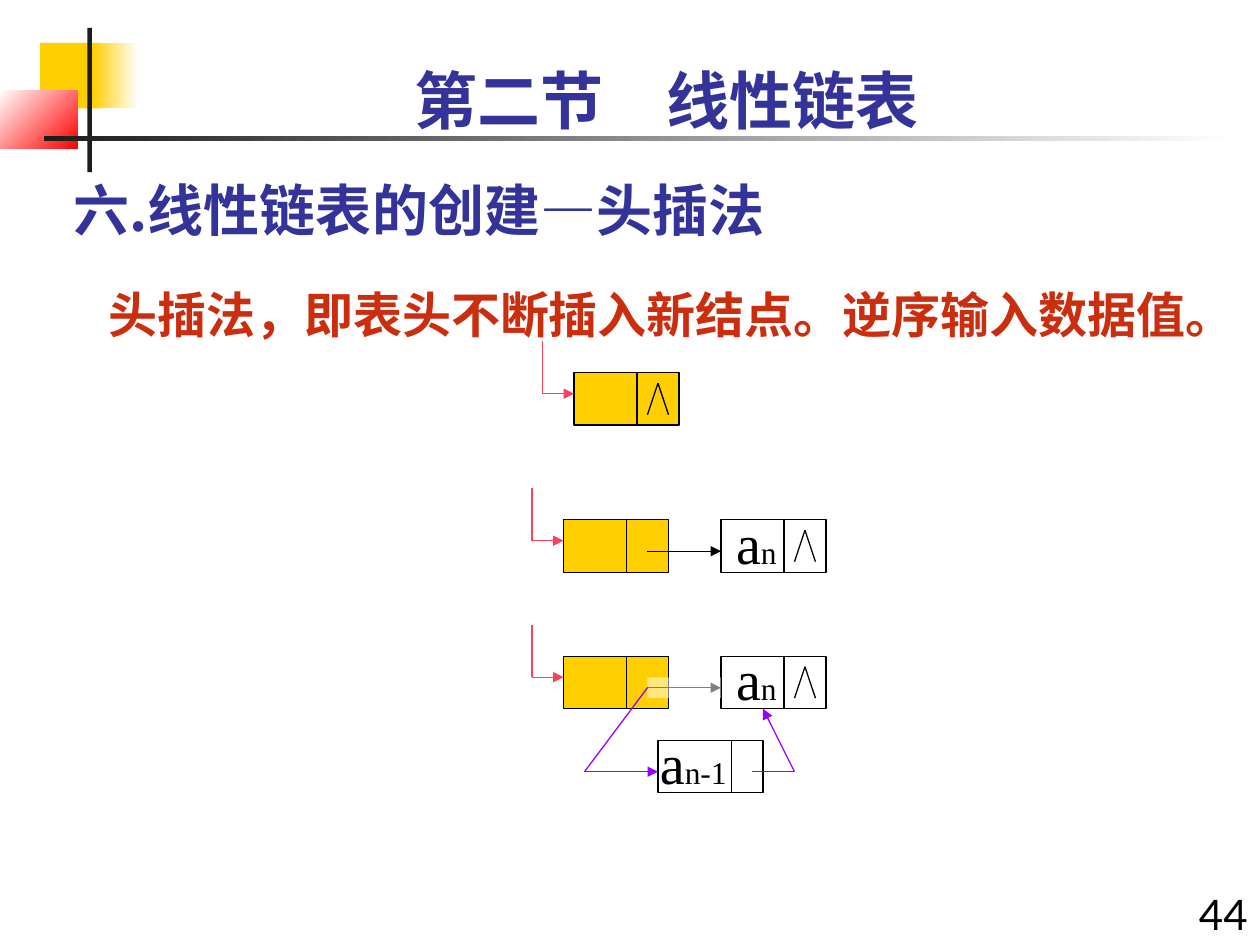
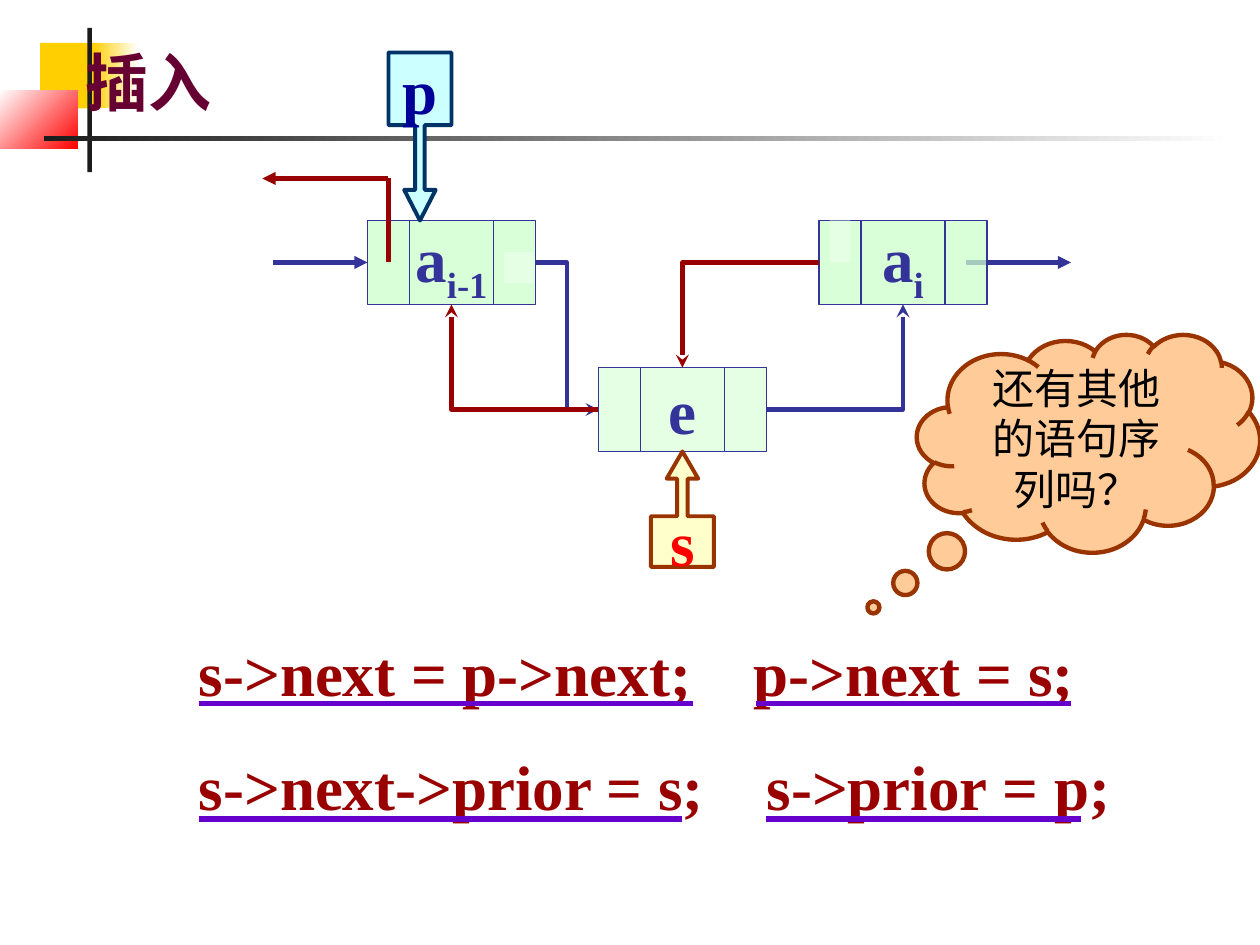
from lxml import etree
from pptx import Presentation
from pptx.dml.color import RGBColor as RGB
from pptx.enum.shapes import MSO_CONNECTOR as LINK, MSO_SHAPE as FORM
from pptx.enum.text import MSO_ANCHOR as ANCHOR, PP_ALIGN as ALIGN
from pptx.oxml import parse_xml
from pptx.oxml.ns import nsdecls, qn
from pptx.util import Pt

BLACK = RGB(0, 0, 0)
WHITE = RGB(255, 255, 255)
INK = RGB(0x1C, 0x1C, 0x1C)
GOLD = RGB(0xFF, 0xCF, 0x01)
RED = RGB(255, 0, 0)
BLUE = RGB(0x33, 0x33, 0x99)
RUST = RGB(0xCB, 0x2E, 0x0F)
PINK = RGB(0xFB, 0x41, 0x5C)
VIOLET = RGB(0x99, 0, 0xFF)
GREEN = RGB(0xCC, 0xFF, 0xCC)
PALE = RGB(0xE5, 0xFF, 0xE5)
MAROON = RGB(0x99, 0, 0)
PLUM = RGB(0x66, 0, 0x33)
PURPLE = RGB(0x66, 0, 0xCC)
AQUA = RGB(0xCC, 0xFF, 0xFF)
TEAL = RGB(0, 0x33, 0x66)
NAVY = RGB(0, 0, 0x99)
CREAM = RGB(0xFF, 0xFF, 0x99)
BROWN = RGB(0x99, 0x33, 0)
PEACH = RGB(0xFF, 0xCC, 0x99)

SANS, LATO, SERIF = "Noto Sans CJK SC", "Lato", "Times New Roman"

BANDS = [
    ((23, 24.5, 34.5, 37.5), (GOLD,), 0),
    ((53, 24.5, 26, 37.5), (GOLD, WHITE), 0),
    ((0, 51.5, 44.5, 33.5), (WHITE, RED), 315),
    ((50, 16, 2.5, 82.5), (INK,), 0),
    ((25, 78, 680, 2.5), (INK, WHITE), 0),
]

HEADS = [(328, 213), (322, 297), (322, 375)]
TAIL_X = 412
DETOUR = [
    ((430, 441), (454, 441), None),
    ((454, 441), (436, 405), "triangle"),
    ((370, 393), (334, 441), None),
    ((334, 441), (376, 441), "triangle"),
]

NODES = [
    (210, 126, "a", "i-1", 75),
    (468, 126, "a", "i", 75),
    (342, 210, "e", "", 50),
]
FADED = [(288, 144, 17, 18), (474, 126, 12, 24)]
ELBOWS = [
    ((438, 234), (516, 174), BLUE, "bentConnector2"),
    ((306, 150), (342, 234), BLUE, "bentConnector3"),
    ((468, 150), (390, 210), MAROON, "bentConnector2"),
    ((342, 234), (258, 174), MAROON, "bentConnector2"),
]
CODE = [
    ("s->next = p->next;", "p->next = s;", 317),
    ("s->next->prior = s;", "s->prior = p;", 324.5),
]
RULES = [(114, 396, 402), (432, 612, 402), (114, 390, 468), (438, 618, 468)]
CALLS = [
    (FORM.DOWN_ARROW_CALLOUT, (222, 30, 36, 96), (0.15, 0.25, 0.486, 0.433),
     AQUA, 100, TEAL, "p", NAVY),
    (FORM.UP_ARROW_CALLOUT, (372, 258, 36, 66), (0.167, 0.25, 0.431, 0.439),
     CREAM, 50, BROWN, "s", RED),
]


def write(par, text, size, face, tint, bold=False, drop=0):
    run = par.add_run()
    run.text = text
    font = run.font
    font.size, font.name, font.bold = Pt(size), face, bold
    font.color.rgb = tint
    props = run._r.get_or_add_rPr()
    east = etree.SubElement(props, qn("a:ea"))
    east.set("typeface", SANS)
    if drop:
        props.set("baseline", str(drop * 1000))


def label(slide, area, runs, align=ALIGN.LEFT, anchor=ANCHOR.TOP, wrap=True):
    frame = slide.shapes.add_textbox(*map(Pt, area)).text_frame
    frame.word_wrap, frame.vertical_anchor = wrap, anchor
    par = frame.paragraphs[0]
    par.alignment = align
    for run in runs:
        write(par, *run)
    return par


def shape(slide, area, fill=None, edge=None, width=0.75, form=FORM.RECTANGLE,
          alpha=100, turn=0):
    item = slide.shapes.add_shape(form, *map(Pt, area))
    item.shadow.inherit = False
    if not fill:
        item.fill.background()
    elif isinstance(fill, tuple) and len(fill) == 2:
        item.fill.gradient()
        item.fill.gradient_angle = turn
        for stop, tint in zip(item.fill.gradient_stops, fill):
            stop.color.rgb = tint
    else:
        item.fill.solid()
        item.fill.fore_color.rgb = fill
        if alpha < 100:
            tint = item._element.spPr.find(qn("a:solidFill"))[0]
            etree.SubElement(tint, qn("a:alpha")).set("val", str(alpha * 1000))
    if edge:
        item.line.color.rgb, item.line.width = edge, Pt(width)
    else:
        item.line.fill.background()
    return item


def center(item, runs, wrap=False):
    frame = item.text_frame
    frame.word_wrap, frame.vertical_anchor = wrap, ANCHOR.MIDDLE
    par = frame.paragraphs[0]
    par.alignment = ALIGN.CENTER
    for run in runs:
        write(par, *run)


def line(slide, start, end, tint=BLACK, width=0.75, head=None, bend=None):
    kind = LINK.ELBOW if bend else LINK.STRAIGHT
    item = slide.shapes.add_connector(kind, *map(Pt, start + end))
    item.line.color.rgb, item.line.width = tint, Pt(width)
    props = item._element.spPr
    if bend:
        props.find(qn("a:prstGeom")).set("prst", bend)
    if head:
        mark = parse_xml(f'<a:tailEnd {nsdecls("a")} type="{head}"/>')
        item.line._get_or_add_ln().append(mark)
    etree.SubElement(props, qn("a:effectLst"))


def start(deck):
    slide = deck.slides.add_slide(deck.slide_layouts[6])
    for area, tints, turn in BANDS:
        shape(slide, area, tints if len(tints) > 1 else tints[0], turn=turn)
    return slide


def cell(slide, x, y, fill=None, split=36):
    shape(slide, (x, y, 60, 30), fill, BLACK)
    line(slide, (x + split, y), (x + split, y + 30))


def caret(slide, x, y):
    for side in (-6, 6):
        line(slide, (x + 48, y + 6), (x + 48 + side, y + 24))


def name(slide, x, y, width, sub):
    label(slide, (x, y - 10, width, 45),
          [("a", 32, SERIF, BLACK), (sub, 18, SERIF, BLACK)], wrap=False)


def head_slide(deck):
    slide = start(deck)
    label(slide, (35, 88, 450, 54),
          [("六.线性链表的创建—头插法", 32, SANS, BLUE, True)],
          anchor=ANCHOR.BOTTOM)
    label(slide, (672, 504, 48, 36), [("44", 24, LATO, BLACK)], ALIGN.RIGHT)
    label(slide, (48, 31.5, 666, 50.5),
          [("第二节　线性链表", 36, LATO, BLUE, True)], ALIGN.CENTER)
    par = label(slide, (55, 152.5, 677, 42.5),
                [("头插法，即表头不断插入新结点。逆序输入数据值。", 28, SANS, RUST, True)])
    par.line_spacing = 1.2

    for row, (x, y) in enumerate(HEADS):
        cell(slide, x, y, GOLD)
        line(slide, (x - 18, y + 12), (x, y + 12), PINK, head="triangle")
        line(slide, (x - 18, y - 18), (x - 18, y + 12), PINK)
        if row == 0:
            caret(slide, x, y)
            continue
        cell(slide, TAIL_X, y)
        caret(slide, TAIL_X, y)
        line(slide, (x + 48, y + 18), (TAIL_X, y + 18), head="triangle")
        name(slide, TAIL_X + 1.5, y, 37.5, "n")

    shape(slide, (370, 387, 42, 12), WHITE, alpha=50)
    cell(slide, 376, 423, split=42)
    name(slide, 370, 423, 52.5, "n-1")
    for begin, end, head in DETOUR:
        line(slide, begin, end, VIOLET, head=head)


def insert_slide(deck):
    slide = start(deck)
    line(slide, (156, 150), (210, 150), BLUE, 2.5, "triangle")
    line(slide, (552, 150), (612, 150), BLUE, 2.5, "triangle")
    for x, y, main, sub, alpha in NODES:
        box = shape(slide, (x, y, 96, 48), GREEN, BLUE, alpha=alpha)
        runs = [(main, 36, SERIF, BLUE, True)]
        if sub:
            runs.append((sub, 36, SERIF, BLUE, True, -25))
        center(box, runs)
        for gap in (24, 72):
            line(slide, (x + gap, y), (x + gap, y + 48), BLUE)
    for area in FADED:
        shape(slide, area, PALE)

    for begin, end, tint, bend in ELBOWS:
        line(slide, begin, end, tint, 2.5, "stealth", bend)
    line(slide, (222, 150), (222, 102), MAROON, 2.5)
    line(slide, (222, 102), (150, 102), MAROON, 2.5, "triangle")

    for form, area, bends, fill, alpha, edge, text, tint in CALLS:
        call = shape(slide, area, fill, edge, 2.25, form, alpha)
        for spot, bend in enumerate(bends):
            call.adjustments[spot] = bend
        center(call, [(text, 36, SERIF, tint, True)])

    frame = slide.shapes.add_textbox(*map(Pt, (106.5, 337, 545, 137))).text_frame
    frame.word_wrap = True
    for row, (left, right, stop) in enumerate(CODE):
        par = frame.add_paragraph() if row else frame.paragraphs[0]
        par.line_spacing = 1.5
        tabs = etree.SubElement(par._p.get_or_add_pPr(), qn("a:tabLst"))
        tab = etree.SubElement(tabs, qn("a:tab"))
        tab.set("pos", str(Pt(stop)))
        tab.set("algn", "l")
        write(par, left + "\t" + right, 36, SERIF, MAROON, True)
    for left, right, y in RULES:
        line(slide, (left, y), (right, y), PURPLE, 3)

    label(slide, (42, 21.5, 87, 50.5), [("插入", 36, SERIF, PLUM, True)], wrap=False)
    cloud = shape(slide, (524, 191, 196, 124.5), PEACH, BROWN, 2.5, FORM.CLOUD_CALLOUT)
    cloud.adjustments[0], cloud.adjustments[1] = -0.627, 0.754
    center(cloud, [("还有其他的语句序列吗？", 24, SERIF, BLACK)], wrap=True)


def main():
    deck = Presentation()
    deck.slide_width, deck.slide_height = Pt(720), Pt(540)
    head_slide(deck)
    insert_slide(deck)
    deck.save("out.pptx")


if __name__ == "__main__":
    main()
